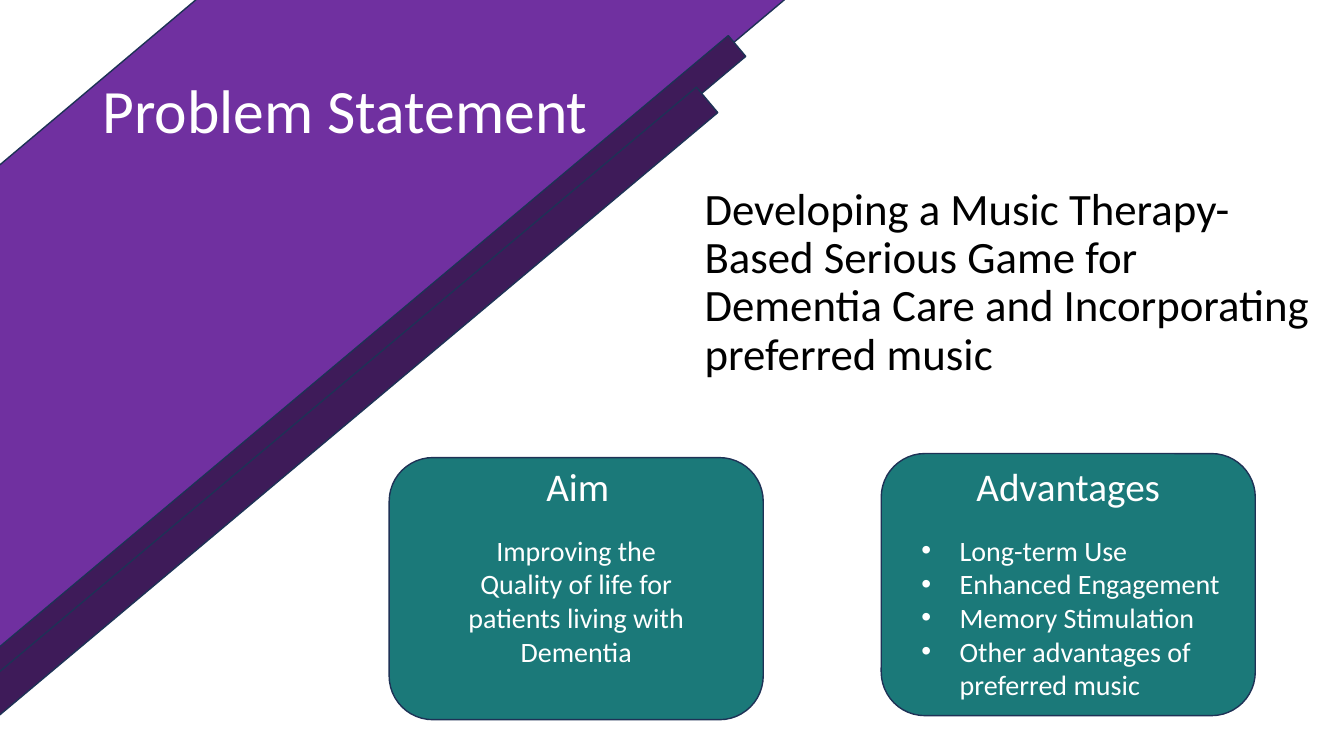
"""Build the Problem Statement slide with its aim and advantages cards."""
from lxml.etree import SubElement
from pptx import Presentation
from pptx.dml.color import RGBColor
from pptx.enum.shapes import MSO_SHAPE
from pptx.enum.text import MSO_ANCHOR, PP_ALIGN
from pptx.oxml.ns import qn
from pptx.util import Inches, Pt

COLORS = {
    "band": "7030A0",
    "stripe": "3E1B59",
    "card": "1B7979",
    "outline": "1E3256",
    "light": "FFFFFF",
    "dark": "000000",
}

deck = Presentation()
deck.slide_width, deck.slide_height = Inches(13.33), Inches(7.5)
slide = deck.slides.add_slide(deck.slide_layouts[6])


def add_panel(kind, box, color, rotation=0):
    panel = slide.shapes.add_shape(kind, *map(Inches, box))
    panel.shadow.inherit = False
    panel.rotation = rotation
    panel.fill.solid()
    panel.fill.fore_color.rgb = RGBColor.from_string(COLORS[color])
    panel.line.color.rgb = RGBColor.from_string(COLORS["outline"])
    panel.line.width = Pt(1)


def add_text(box, lines, size, color="light", align=PP_ALIGN.LEFT,
             spacing=1.0, anchor=MSO_ANCHOR.TOP, bulleted=False):
    frame = slide.shapes.add_textbox(*map(Inches, box)).text_frame
    frame.word_wrap = True
    frame.vertical_anchor = anchor
    for index, line in enumerate(lines):
        paragraph = frame.paragraphs[0] if index == 0 else frame.add_paragraph()
        paragraph.alignment = align
        paragraph.line_spacing = spacing
        if bulleted:
            properties = paragraph._p.get_or_add_pPr()
            properties.set("marL", str(Inches(0.38)))
            properties.set("indent", str(-Inches(0.38)))
            SubElement(properties, qn("a:buFont"), typeface="Arial")
            SubElement(properties, qn("a:buChar"), char="•")
        run = paragraph.add_run()
        run.text = line
        run.font.name = "Calibri"
        run.font.size = Pt(size)
        run.font.color.rgb = RGBColor.from_string(COLORS[color])


diagonals = [
    ((-2.74, -0.52, 11.97, 3.76), "band", 319.9),
    ((-1.67, 3.59, 10.17, 0.27), "stripe", 320),
    ((-1.79, 4.03, 9.97, 0.33), "stripe", 320),
]
for box, color, rotation in diagonals:
    add_panel(MSO_SHAPE.RECTANGLE, box, color, rotation)

add_text((0.92, 0.4, 11.5, 1.45), ["Problem Statement"], 44,
         spacing=0.9, anchor=MSO_ANCHOR.MIDDLE)
add_text((6.89, 1.8, 6.27, 1.93),
         ["Developing a Music Therapy-Based Serious Game for "
          "Dementia Care and Incorporating preferred music"],
         32, "dark", spacing=0.9)

for left, top in [(3.86, 4.54), (8.74, 4.5)]:
    add_panel(MSO_SHAPE.ROUNDED_RECTANGLE, (left, top, 3.71, 2.6), "card")

add_text((4.77, 4.54, 1.92, 0.57), ["Aim"], 28, align=PP_ALIGN.CENTER)
add_text((4.41, 5.24, 2.61, 1.45),
         ["Improving the Quality of life for patients living with Dementia"],
         20, align=PP_ALIGN.CENTER)

add_text((9.5, 4.54, 2.19, 0.57), ["Advantages"], 28, align=PP_ALIGN.CENTER)
add_text((9.04, 5.24, 3.2, 1.78),
         ["Long-term Use", "Enhanced Engagement", "Memory Stimulation",
          "Other advantages of preferred music"],
         20, bulleted=True)

deck.save("out.pptx")
